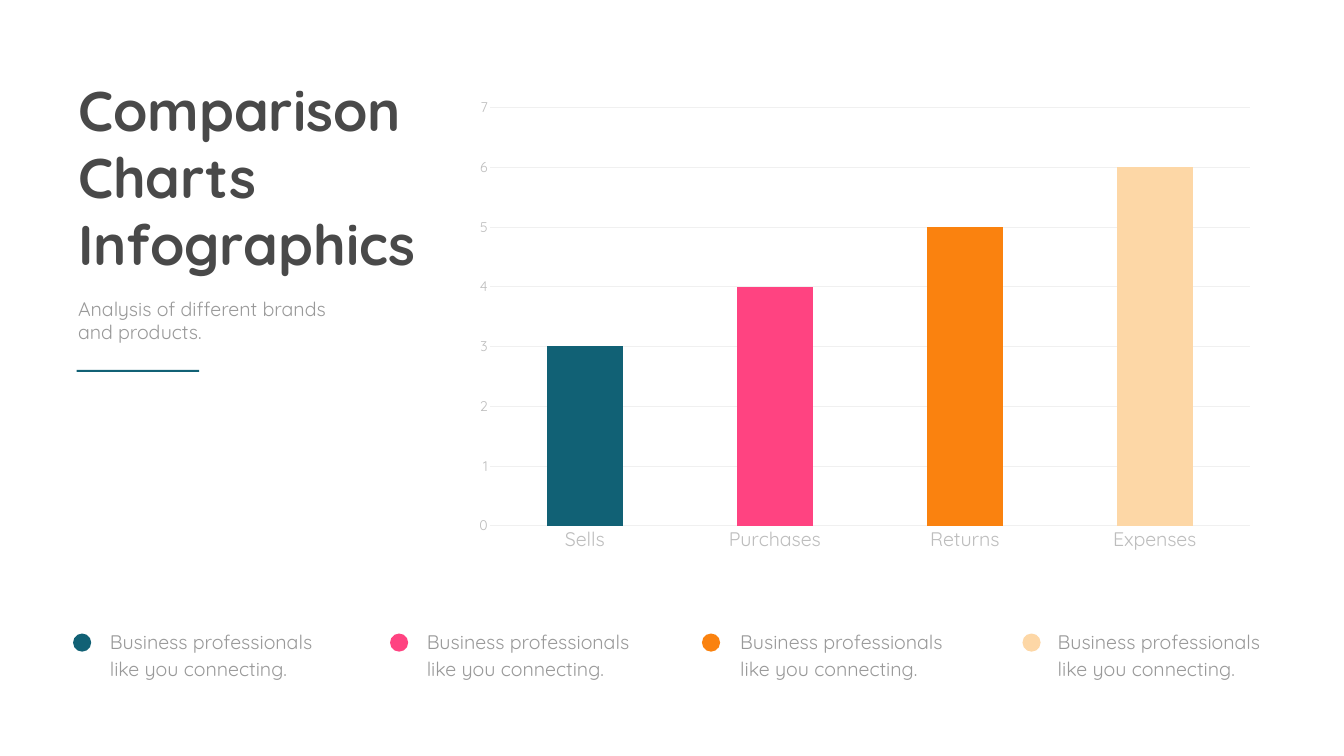
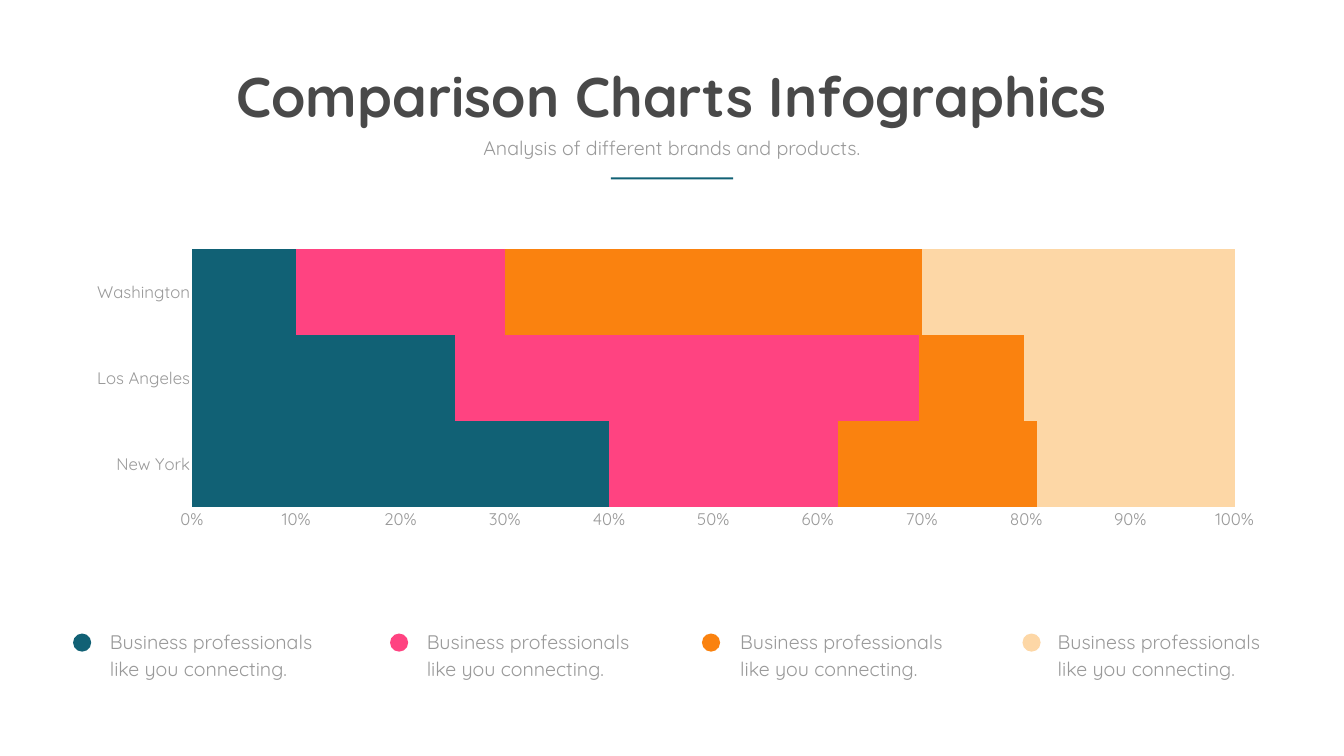
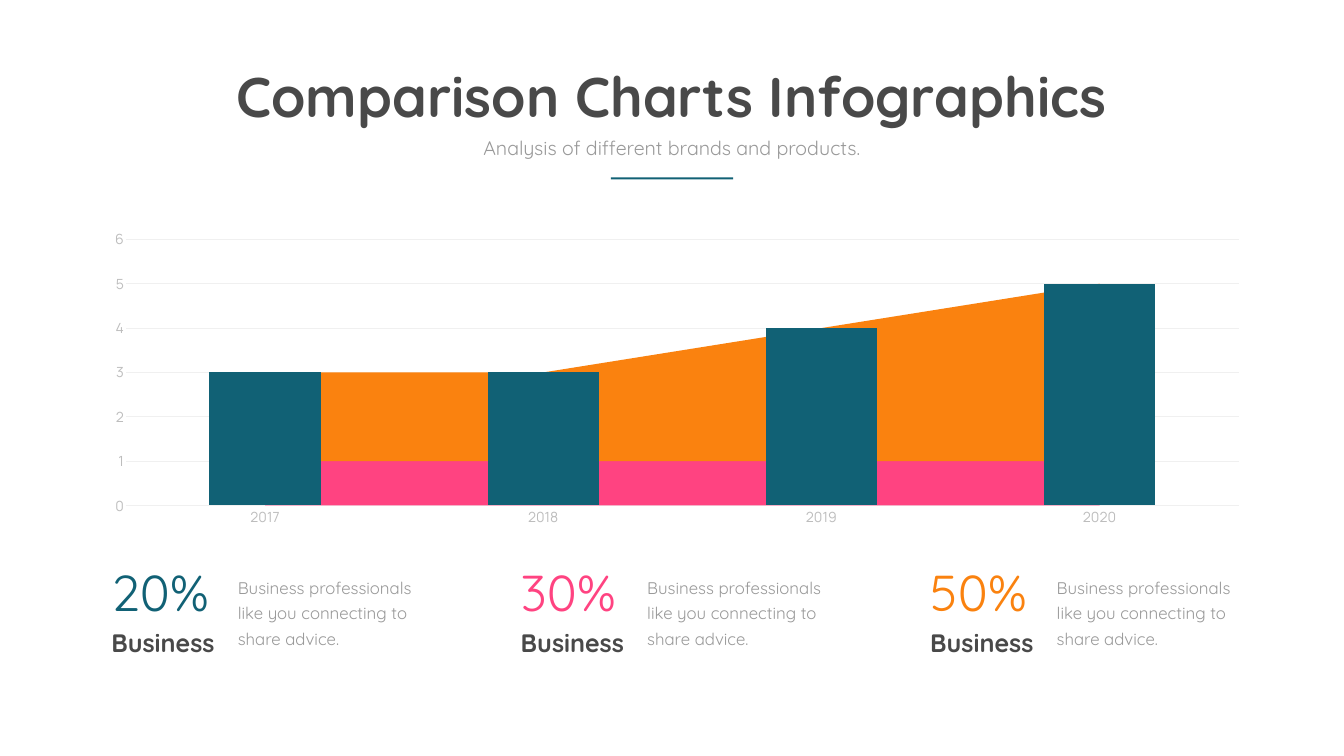
from copy import deepcopy
from dataclasses import dataclass

from lxml import etree
from pptx import Presentation
from pptx.chart.data import CategoryChartData
from pptx.dml.color import RGBColor
from pptx.enum.chart import XL_CHART_TYPE, XL_TICK_MARK
from pptx.enum.shapes import MSO_SHAPE
from pptx.enum.text import MSO_AUTO_SIZE, PP_ALIGN
from pptx.oxml.ns import qn
from pptx.util import Inches, Pt

LEFT, CENTER = PP_ALIGN.LEFT, PP_ALIGN.CENTER
RECT, OVAL = MSO_SHAPE.RECTANGLE, MSO_SHAPE.OVAL
COLUMN = XL_CHART_TYPE.COLUMN_STACKED
BAR = XL_CHART_TYPE.BAR_STACKED_100
AREA = XL_CHART_TYPE.AREA_STACKED
NO_TICK = XL_TICK_MARK.NONE
FIT = MSO_AUTO_SIZE.SHAPE_TO_FIT_TEXT


@dataclass(frozen=True)
class Theme:
    font: str = "Quicksand"
    alt: str = "Manrope"
    teal: str = "116175"
    pink: str = "FF4381"
    orange: str = "FA820F"
    sand: str = "FDD7A6"
    dark: str = "494949"
    gray: str = "999999"
    pale: str = "BDBDBD"
    grid: str = "F0F0F0"
    title: int = 80
    figure: int = 72
    head: int = 36
    body: int = 28
    small: int = 24
    tick: int = 20

    @property
    def hues(self):
        return self.teal, self.pink, self.orange, self.sand


THEME = Theme()
TITLE = "Comparison Charts Infographics"
TAG = "Analysis of different brands and products."
NOTE = "Business professionals like you connecting."
# Left edge of each legend dot and of its note
LEGEND = [(1.45, 2.08), (7.74, 8.37), (13.93, 14.59), (20.29, 20.89)]


def paint(fill, color):
    fill.solid()
    fill.fore_color.rgb = RGBColor.from_string(color)


def set_font(font, size, color, name=THEME.font, bold=False):
    font.name, font.size, font.bold = name, Pt(size), bold
    font.color.rgb = RGBColor.from_string(color)


class Deck:
    def __init__(self):
        self.prs = Presentation()
        self.prs.slide_width, self.prs.slide_height = Inches(26.67), Inches(15)
        self.slide = None

    def page(self):
        self.slide = self.prs.slides.add_slide(self.prs.slide_layouts[6])
        paint(self.slide.background.fill, "FFFFFF")

    # Basic elements
    def text(self, text, x, y, w, h, size, color, bold=False, align=LEFT,
             lead=None, wrap=True):
        box = self.slide.shapes.add_textbox(
            Inches(x), Inches(y), Inches(w), Inches(h))
        frame = box.text_frame
        frame.word_wrap, frame.auto_size = wrap, FIT
        frame.text = text
        for para in frame.paragraphs:
            para.alignment = align
            if lead:
                para.line_spacing = Pt(lead)
            for run in para.runs:
                set_font(run.font, size, color, bold=bold)

    def shape(self, kind, x, y, w, h, color):
        item = self.slide.shapes.add_shape(
            kind, Inches(x), Inches(y), Inches(w), Inches(h))
        item.shadow.inherit = False
        paint(item.fill, color)
        item.line.fill.background()

    # Shared parts
    def rule(self, x, y):
        self.shape(RECT, x, y, 2.43, 0.04, THEME.teal)

    def header(self):
        self.text(TITLE, 4.47, 1.17, 17.71, 1.45, THEME.title, THEME.dark,
                  True, CENTER, wrap=False)
        self.text(TAG, 8.55, 2.65, 9.56, 0.57, THEME.body, THEME.gray,
                  align=CENTER)
        self.rule(12.12, 3.52)

    def legend(self):
        for (dot, note), hue in zip(LEGEND, THEME.hues):
            self.shape(OVAL, dot, 12.57, 0.36, 0.36, hue)
            self.text(NOTE, note, 12.38, 4.89, 1.18, THEME.body, THEME.gray,
                      lead=38.6)

    def stat(self, x, figure, hue):
        self.text(figure, x, 11.08, 2.51, 1.31, THEME.figure, hue)
        self.text("Business professionals like you connecting to share advice.",
                  x + 2.51, 11.3, 4.18, 1.6, THEME.small, THEME.gray, lead=36.6)
        self.text("Business", x, 12.4, 3.99, 0.71, THEME.head, THEME.dark, True)

    # Charts
    def chart(self, kind, area, plot, names, rows, hues, sizes, color,
              font=THEME.font, top=None):
        """Area and plot are (left, top, width, height) on the slide."""
        data = CategoryChartData()
        data.categories = names
        for num, row in enumerate(rows, 1):
            data.add_series(f"Series {num}", row)
        chart = self.slide.shapes.add_chart(
            kind, *map(Inches, area), data).chart
        chart.has_legend = chart.has_title = False
        set_font(chart.font, THEME.tick, THEME.gray, font)
        for axis, size in zip((chart.category_axis, chart.value_axis), sizes):
            axis.major_tick_mark = axis.minor_tick_mark = NO_TICK
            set_font(axis.tick_labels.font, size, color, font)
        self.line(chart.category_axis.format.line)
        value = chart.value_axis
        value.format.line.fill.background()
        value.has_major_gridlines = top is not None
        if top:
            value.minimum_scale, value.maximum_scale = 0, top
            value.major_unit = 1
            self.line(value.major_gridlines.format.line)
        for series, hue in zip(chart.plots[0].series, hues):
            paint(series.format.fill, hue)
        self.place(chart, area, plot)
        return chart

    def line(self, line):
        paint(line.fill, THEME.grid)
        line.width = Pt(0.75)

    def place(self, chart, area, plot):
        """Fix the inner plot area as fractions of the chart frame."""
        tree = chart.plots[0]._element.getparent()
        for old in tree.findall(qn("c:layout")):
            tree.remove(old)
        layout = etree.Element(qn("c:layout"))
        manual = etree.SubElement(layout, qn("c:manualLayout"))
        parts = [("layoutTarget", "inner"), ("xMode", "edge"), ("yMode", "edge"),
                 ("x", (plot[0] - area[0]) / area[2]),
                 ("y", (plot[1] - area[1]) / area[3]),
                 ("w", plot[2] / area[2]), ("h", plot[3] / area[3])]
        for tag, val in parts:
            etree.SubElement(manual, qn(f"c:{tag}")).set("val", str(val))
        tree.insert(0, layout)

    def columns(self, chart):
        """Turn the last area series into columns on the same axes."""
        area = chart.plots[0]._element
        series = area.findall(qn("c:ser"))[-1]
        bars = etree.Element(qn("c:barChart"))
        for tag, val in (("barDir", "col"), ("grouping", "clustered"),
                         ("varyColors", "0")):
            etree.SubElement(bars, qn(f"c:{tag}")).set("val", val)
        bars.append(series)
        etree.SubElement(bars, qn("c:gapWidth")).set("val", "150")
        for axis in area.findall(qn("c:axId")):
            bars.append(deepcopy(axis))
        area.addnext(bars)
        cross = chart.value_axis._element.find(qn("c:crossBetween"))
        cross.set("val", "between")


def columns_page(deck):
    deck.page()
    deck.text("Comparison Charts\nInfographics", 1.45, 1.44, 7.75, 4.14,
              THEME.title, THEME.dark, True)
    deck.text(TAG, 1.45, 5.84, 5.34, 1.04, THEME.body, THEME.gray)
    deck.rule(1.52, 7.34)
    chart = deck.chart(
        COLUMN, (9.2, 1.77, 15.93, 9.37), (9.72, 2.13, 15.08, 8.3),
        ["Sells", "Purchases", "Returns", "Expenses"], [[3, 4, 5, 6]],
        [THEME.orange], (THEME.body, THEME.tick), THEME.pale, top=7)
    plot = chart.plots[0]
    plot.vary_by_categories = False
    plot.gap_width, plot.overlap = 150, 100
    for num, hue in enumerate(THEME.hues):
        paint(plot.series[0].points[num].format.fill, hue)
    deck.legend()


def bars_page(deck):
    deck.page()
    deck.header()
    chart = deck.chart(
        BAR, (1.45, 4.82, 23.93, 5.81), (3.81, 4.94, 20.69, 5.12),
        ["New York", "Los Angeles", "Washington"],
        [[40, 25, 10], [22, 44, 20], [19, 10, 40], [19, 20, 30]],
        THEME.hues, (THEME.small, THEME.small), THEME.gray)
    plot = chart.plots[0]
    plot.gap_width, plot.overlap = 0, 100
    labels = chart.value_axis.tick_labels
    labels.number_format, labels.number_format_is_linked = "0%", False
    deck.legend()


def area_page(deck):
    deck.page()
    deck.header()
    chart = deck.chart(
        AREA, (1.81, 4.44, 23.24, 6.14), (2.5, 4.75, 22.08, 5.28),
        ["2017", "2018", "2019", "2020"],
        [[1, 1, 1, 1], [2, 2, 3, 4], [3, 3, 4, 5]],
        [THEME.pink, THEME.orange, THEME.teal], (THEME.tick, THEME.tick),
        THEME.pale, THEME.alt, top=6)
    deck.columns(chart)
    for num, figure in enumerate(["20%", "30%", "50%"]):
        deck.stat(2.11 + 8.125 * num, figure, THEME.hues[num])


def main():
    deck = Deck()
    columns_page(deck)
    bars_page(deck)
    area_page(deck)
    deck.prs.save("out.pptx")


if __name__ == "__main__":
    main()
